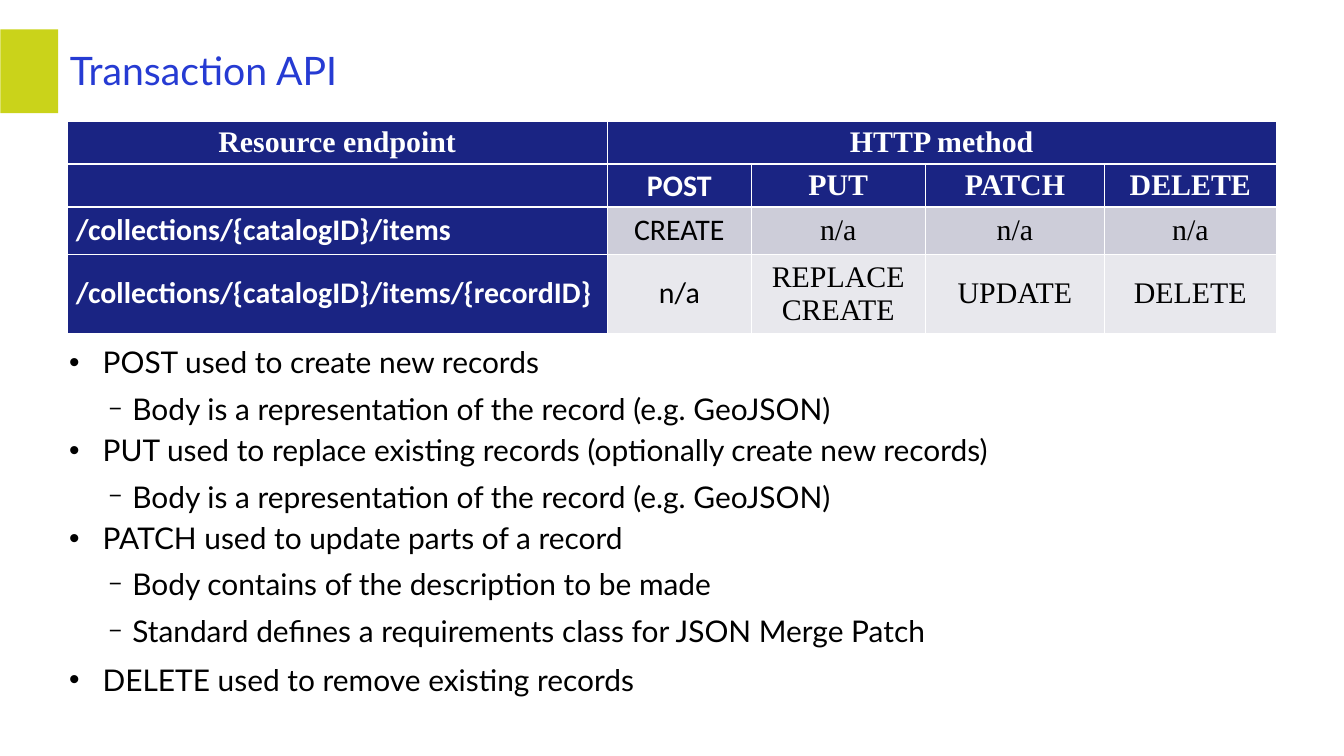
import pptx
import pptx.dml.color
import pptx.enum.shapes
import pptx.enum.text
import pptx.oxml
import pptx.oxml.ns
import pptx.util
from pptx.util import Inches

RGBColor = pptx.dml.color.RGBColor
PP_ALIGN = pptx.enum.text.PP_ALIGN
MSO_ANCHOR = pptx.enum.text.MSO_ANCHOR

LIME = RGBColor(0xCA, 0xD3, 0x1A)
TITLE_BLUE = RGBColor(0x26, 0x3B, 0xD3)
NAVY = RGBColor(0x1A, 0x24, 0x83)
WHITE = RGBColor(0xFF, 0xFF, 0xFF)
BLACK = RGBColor(0, 0, 0)
BANDS = {2: RGBColor(0xCD, 0xCD, 0xD9), 3: RGBColor(0xE8, 0xE8, 0xED)}

COLUMN_WIDTHS = [8.04, 2.14, 2.59, 2.67, 2.55]
ROW_HEIGHTS = [0.59, 0.63, 0.71, 1.08]
HEADER_ROWS = 2
METHODS = [
    ["Resource endpoint", "HTTP method", "", "", ""],
    ["", "POST", "PUT", "PATCH", "DELETE"],
    ["/collections/{catalogID}/items", "CREATE", "n/a", "n/a", "n/a"],
    ["/collections/{catalogID}/items/{recordID}", "n/a", "REPLACE\nCREATE", "UPDATE", "DELETE"],
]

NOTES = [
    (0, 6, "POST used to create new records"),
    (1, 11.3, "Body is a representation of the record (e.g. GeoJSON)"),
    (0, 6, "PUT used to replace existing records (optionally create new records)"),
    (1, 11.3, "Body is a representation of the record (e.g. GeoJSON)"),
    (0, 6, "PATCH used to update parts of a record"),
    (1, 11.3, "Body contains of the description to be made"),
    (1, 11.3, "Standard defines a requirements class for JSON Merge Patch"),
    (0, 14.2, "DELETE used to remove existing records"),
]
BULLETS = [("•", 0.5, -0.5, 100), ("−", 0.94, -0.35, 75)]


def add_run(paragraph, text, font_name, size, color, bold=False):
    run = paragraph.add_run()
    run.text = text
    run.font.name = font_name
    run.font.size = pptx.util.Pt(size)
    run.font.color.rgb = color
    run.font.bold = bold


def parse(xml):
    namespaces = pptx.oxml.ns.nsdecls("a")
    return pptx.oxml.parse_xml(xml.replace(" ", f" {namespaces} ", 1))


def add_accent(slide):
    accent = slide.shapes.add_shape(
        pptx.enum.shapes.MSO_SHAPE.RECTANGLE,
        Inches(-0.19), Inches(0.63), Inches(1.25), Inches(0.86))
    accent.rotation = 270
    accent.shadow.inherit = False
    accent.fill.solid()
    accent.fill.fore_color.rgb = LIME
    accent.line.fill.background()


def add_text_frame(slide, left, top, width, height):
    frame = slide.shapes.add_textbox(
        Inches(left), Inches(top), Inches(width), Inches(height)).text_frame
    frame.word_wrap = True
    return frame


def add_title(slide):
    frame = add_text_frame(slide, 0.94, 0.61, 18.4, 1)
    frame.vertical_anchor = MSO_ANCHOR.MIDDLE
    heading = frame.paragraphs[0]
    heading.line_spacing = pptx.util.Pt(41)
    add_run(heading, "Transaction API", "Lato", 42, TITLE_BLUE)


def set_borders(cell, top, bottom):
    widths = {"lnL": 0.96, "lnR": 0.96, "lnT": top, "lnB": bottom}
    properties = cell._tc.get_or_add_tcPr()
    for position, (side, width) in enumerate(widths.items()):
        properties.insert(position, parse(
            f'<a:{side} w="{pptx.util.Pt(width)}"><a:solidFill>'
            f'<a:srgbClr val="{WHITE}"/></a:solidFill></a:{side}>'))


def fill_cell(cell, text, row, column):
    heading = row < HEADER_ROWS or column == 0
    calibri = row > 0 and column < 2
    cell.fill.solid()
    cell.fill.fore_color.rgb = NAVY if heading else BANDS[row]
    cell.vertical_anchor = MSO_ANCHOR.MIDDLE
    cell.margin_left = cell.margin_right = Inches(0.13)
    cell.margin_top = cell.margin_bottom = Inches(0.05)
    set_borders(cell, 3 if 0 < row <= HEADER_ROWS else 0.96, 3 if row < HEADER_ROWS else 0.96)
    if not text:
        return
    paragraph = cell.text_frame.paragraphs[0]
    left_aligned = row >= HEADER_ROWS and column == 0
    paragraph.alignment = PP_ALIGN.LEFT if left_aligned else PP_ALIGN.CENTER
    for number, line in enumerate(text.split("\n")):
        if number:
            paragraph.add_line_break()
        add_run(paragraph, line, "Calibri" if calibri else "Times New Roman", 32,
                WHITE if heading else BLACK, heading)


def add_method_table(slide):
    table = slide.shapes.add_table(
        len(ROW_HEIGHTS), len(COLUMN_WIDTHS), Inches(1), Inches(1.81),
        Inches(sum(COLUMN_WIDTHS)), Inches(sum(ROW_HEIGHTS))).table
    for column, width in zip(table.columns, COLUMN_WIDTHS):
        column.width = Inches(width)
    for row, height in zip(table.rows, ROW_HEIGHTS):
        row.height = Inches(height)
    table.cell(0, 1).merge(table.cell(0, 4))
    for row, texts in enumerate(METHODS):
        for column, text in enumerate(texts):
            fill_cell(table.cell(row, column), text, row, column)


def set_bullet(paragraph, level):
    symbol, margin, indent, percent = BULLETS[level]
    properties = paragraph._p.get_or_add_pPr()
    properties.set("marL", str(Inches(margin)))
    properties.set("indent", str(Inches(indent)))
    for xml in (f'<a:buClr ><a:srgbClr val="{BLACK}"/></a:buClr>',
                f'<a:buSzPct val="{percent * 1000}"/>',
                '<a:buFont typeface="Arial"/>',
                f'<a:buChar char="{symbol}"/>'):
        properties.append(parse(xml))


def add_notes_list(slide):
    frame = add_text_frame(slide, 0.93, 5.07, 18.55, 5.76)
    for number, (level, space_before, text) in enumerate(NOTES):
        paragraph = frame.add_paragraph() if number else frame.paragraphs[0]
        paragraph.level = level
        set_bullet(paragraph, level)
        if number:
            paragraph.space_before = pptx.util.Pt(space_before)
        add_run(paragraph, text, "Lato", 32, BLACK)


def main():
    presentation = pptx.Presentation()
    presentation.slide_width = Inches(20)
    presentation.slide_height = Inches(11.25)
    slide = presentation.slides.add_slide(presentation.slide_layouts[6])
    add_accent(slide)
    add_title(slide)
    add_method_table(slide)
    add_notes_list(slide)
    presentation.save("out.pptx")


if __name__ == "__main__":
    main()
